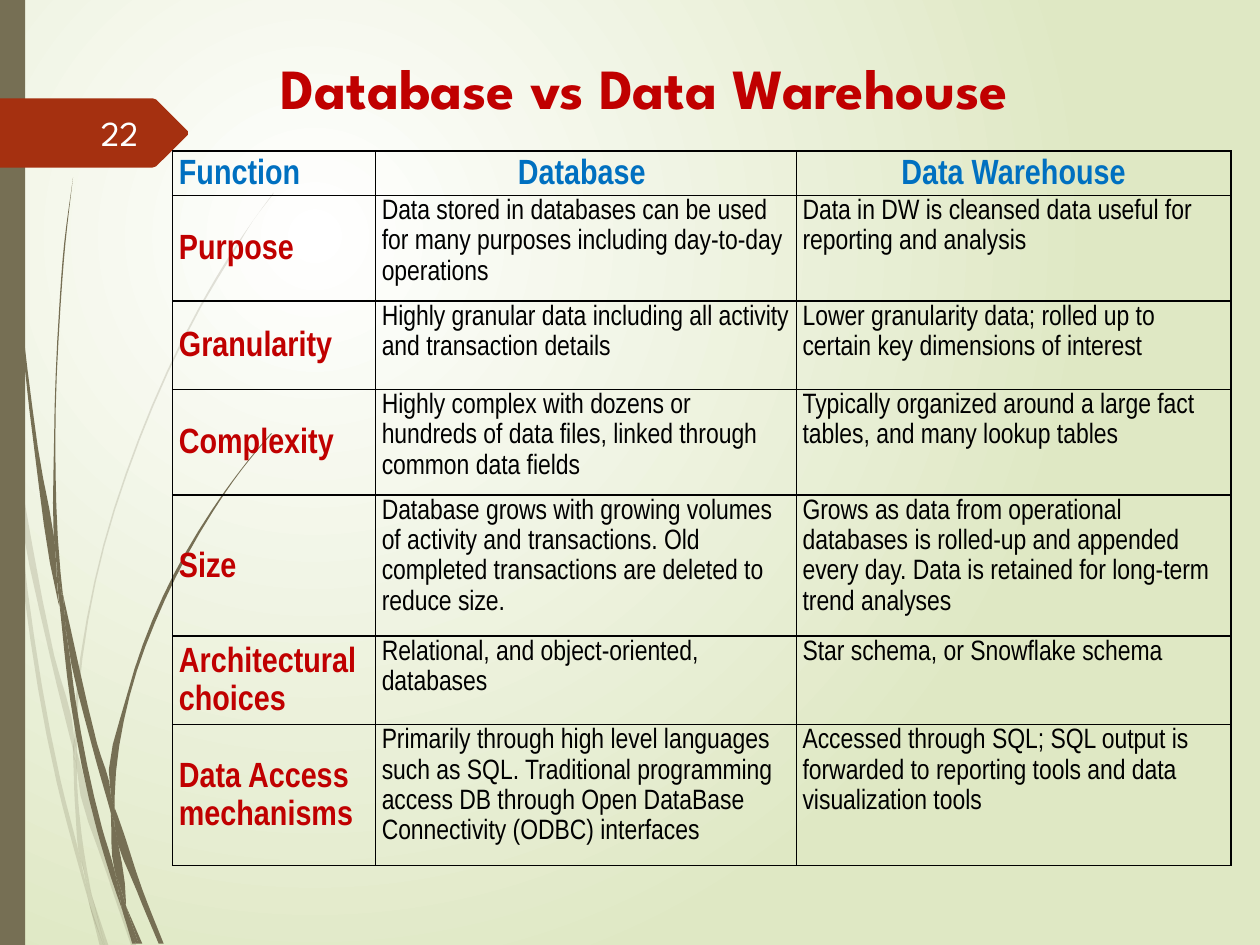
from lxml import etree
from pptx import Presentation
from pptx.dml.color import RGBColor
from pptx.enum.shapes import MSO_SHAPE
from pptx.enum.text import MSO_ANCHOR, PP_ALIGN
from pptx.oxml import parse_xml
from pptx.oxml.ns import qn
from pptx.util import Inches, Pt

RECT = MSO_SHAPE.RECTANGLE
TOP, MIDDLE = MSO_ANCHOR.TOP, MSO_ANCHOR.MIDDLE
LEFT, CENTER, RIGHT = PP_ALIGN.LEFT, PP_ALIGN.CENTER, PP_ALIGN.RIGHT
NS = "http://schemas.openxmlformats.org/drawingml/2006/main"

COLORS = {"white": "FFFFFF", "sage": "DFE8C4", "olive": "766F54", "rust": "A53010",
          "red": "C00000", "blue": "0070C0", "black": "000000", "page": "FEFFFF"}

TITLE = "Database vs Data Warehouse"
PAGE = "22"
ROWS = [
    ("Function", "Database ", "Data Warehouse"),
    ("Purpose",
     "Data stored in databases can be used for many purposes including day-to-day operations",
     "Data in DW is cleansed data useful for reporting and analysis"),
    ("Granularity",
     "Highly granular data including all activity and transaction details",
     "Lower granularity data; rolled up to certain key dimensions of interest"),
    ("Complexity",
     "Highly complex with dozens or hundreds of data files, linked through common data fields",
     "Typically organized around a large fact tables, and many lookup tables"),
    ("Size",
     "Database grows with growing volumes of activity and transactions. "
     "Old completed transactions are deleted to reduce size.",
     "Grows as data from operational databases is rolled-up and appended every day. "
     "Data is retained for long-term trend analyses"),
    ("Architectural choices",
     "Relational, and object-oriented, databases",
     "Star schema, or Snowflake schema"),
    ("Data Access mechanisms",
     "Primarily through high level languages such as SQL. Traditional programming access DB "
     "through Open DataBase Connectivity (ODBC) interfaces",
     "Accessed through SQL; SQL output is forwarded to reporting tools "
     "and data visualization tools"),
]
WIDTHS = [1.61, 3.34, 3.45]
HEIGHTS = [0.35, 0.84, 0.7, 0.84, 1.12, 0.7, 1.12]

# Grass blades as outlines, in inches
PALE = [
    [(0.08, 3.5), (0.06, 3.22), (0, 2.82), (0, 2.99), (0.07, 3.44)],
    [(0.4, 5.22), (0.59, 5.99), (0.59, 5.86), (0.43, 5.2), (0.1, 3.45), (0.12, 3.76)],
    [(0.64, 6.07), (0.61, 5.96), (0.61, 6.1), (0.85, 6.94), (1.04, 7.5), (1.08, 7.5),
     (0.88, 6.92)],
    [(0.83, 7.5), (0.86, 7.5), (0.73, 7.11)],
    [(0.64, 6.83), (0.48, 6.19), (0.22, 4.69), (0.12, 3.76), (0.08, 3.5), (0.19, 4.7),
     (0.45, 6.21), (0.64, 6.93), (0.7, 7.14), (0.69, 7.07)],
    [(0.58, 5.99), (0.6, 6.46), (0.64, 6.83), (0.67, 6.92), (0.73, 7.11), (0.72, 7.06),
     (0.63, 6.46), (0.61, 6.1), (0.61, 6.08)],
    [(0.61, 5.84), (0.76, 4.62), (1.11, 3.49), (1.59, 2.45), (1.87, 1.98), (2.01, 1.75),
     (2.17, 1.54), (2.17, 1.53), (2.01, 1.75), (1.86, 1.97), (1.58, 2.44), (1.1, 3.48),
     (0.75, 4.61), (0.59, 5.84), (0.59, 5.86), (0.61, 5.96)],
    [(0.7, 7.14), (0.79, 7.5), (0.82, 7.5)],
    [(0.61, 6.08), (0.61, 6.1), (0.61, 5.96), (0.59, 5.86), (0.58, 5.99)],
    [(0.67, 6.92), (0.65, 6.83), (0.69, 7.07), (0.7, 7.14), (0.82, 7.5), (0.83, 7.5),
     (0.73, 7.11)],
]
DARK = [
    [(0.05, 1.1), (0.14, 2.33), (0.27, 3.55), (0.46, 4.77), (0.47, 4.81), (0.45, 4.57),
     (0.45, 4.53), (0.3, 3.55), (0.15, 2.32), (0.06, 1.09), (0.04, 0.48), (0.03, 0),
     (0.02, 0), (0.03, 0.48)],
    [(0.73, 5.92), (0.88, 6.45), (0.88, 6.33), (0.88, 6.31), (0.77, 5.9), (0.5, 4.72),
     (0.53, 5.05)],
    [(0.94, 6.49), (0.91, 6.41), (0.91, 6.56), (1.09, 7.08), (1.26, 7.49), (1.3, 7.49),
     (1.13, 7.06)],
    [(0.91, 6.91), (0.81, 6.57), (0.6, 5.56), (0.53, 5.05), (0.47, 4.77), (0.56, 5.57),
     (0.77, 6.59), (0.92, 7.08), (0.97, 7.22), (0.96, 7.17)],
    [(0.5, 4.72), (0.48, 4.53), (0.44, 3.49), (0.48, 2.45), (0.52, 1.93), (0.58, 1.41),
     (0.51, 1.93), (0.47, 2.45), (0.43, 3.49), (0.45, 4.49), (0.49, 4.72)],
    [(1.1, 7.49), (1.13, 7.49), (1, 7.19)],
    [(0.47, 4.77), (0.53, 5.05), (0.5, 4.72), (0.49, 4.72), (0.45, 4.49), (0.45, 4.53)],
    [(0.91, 6.33), (1.03, 5.52), (1.31, 4.76), (1.69, 4.06), (1.91, 3.74), (2.03, 3.59),
     (2.16, 3.44), (2.15, 3.44), (2.03, 3.58), (1.91, 3.73), (1.68, 4.05), (1.29, 4.74),
     (1.01, 5.51), (0.88, 6.31), (0.91, 6.41)],
    [(0.97, 7.22), (1.05, 7.49), (1.08, 7.49)],
    [(0.88, 6.45), (0.91, 6.91), (0.96, 7.06), (1, 7.19), (1, 7.16), (0.91, 6.56),
     (0.9, 6.51)],
    [(0.88, 6.45), (0.9, 6.51), (0.91, 6.56), (0.91, 6.41), (0.88, 6.31), (0.88, 6.33)],
    [(0.96, 7.06), (0.91, 6.91), (0.96, 7.17), (0.97, 7.22), (1.08, 7.49), (1.1, 7.49),
     (1, 7.19)],
]
FLAG = [(1.49, 1.07), (1.24, 1.32), (1.21, 1.33), (0, 1.33), (0, 0.78), (1.21, 0.78),
        (1.24, 0.79), (1.49, 1.04)]

HEAD = {"size": Pt(20), "name": "Arial Narrow", "bold": True}
BODY = {"size": Pt(16), "name": "Arial Narrow", "bold": False}
BANNER = {"size": Pt(32.4), "name": "League Spartan", "bold": True}
NUMBER = {"size": Pt(20), "name": "League Spartan", "bold": False}


def rgb(name):
    return RGBColor.from_string(COLORS[name])


def paint(shape, color, alpha=None):
    shape.shadow.inherit = False
    shape.fill.solid()
    shape.fill.fore_color.rgb = rgb(color)
    shape.line.fill.background()
    if alpha:
        tone = shape.element.spPr.find(qn("a:solidFill"))[0]
        etree.SubElement(tone, qn("a:alpha"), val=str(alpha * 1000))


def smooth(points):
    """Round the bends between knots, keeping sharp corners."""
    knots = [complex(*point) for point in points]
    legs = [b - a for a, b in zip(knots, knots[1:] + knots[:1])]
    units = [leg / abs(leg) for leg in legs]
    curve = []
    for i, (knot, leg) in enumerate(zip(knots, legs)):
        ends = []
        for j in (i, (i + 1) % len(knots)):
            bend = units[j - 1] * abs(legs[j]) + units[j] * abs(legs[j - 1])
            sharp = (units[j - 1].conjugate() * units[j]).real < 0.8
            ends.append(leg if sharp else bend / abs(bend) * abs(leg))
        for t in (0, 0.25, 0.5, 0.75):
            spot = (knot + leg * t * t * (3 - 2 * t) + ends[0] * t * (1 - t) ** 2
                    - ends[1] * t * t * (1 - t))
            curve.append((spot.real, spot.imag))
    return curve


def outline(points, color, alpha=None):
    spots = [(Inches(x), Inches(y)) for x, y in points]
    pen = slide.shapes.build_freeform(*spots[0], scale=1.0)
    pen.add_line_segments(spots[1:], close=True)
    paint(pen.convert_to_shape(), color, alpha)


def write(frame, text, style, color, align):
    para = frame.paragraphs[0]
    para.alignment = align
    run = para.add_run()
    run.text = text
    for key, value in style.items():
        setattr(run.font, key, value)
    run.font.color.rgb = rgb(color)
    return para


def label(box, text, style, color, align, anchor):
    frame = slide.shapes.add_textbox(*map(Inches, box)).text_frame
    frame.word_wrap, frame.vertical_anchor = True, anchor
    write(frame, text, style, color, align)


def border(cell):
    props = cell._tc.get_or_add_tcPr()
    for index, side in enumerate(("lnL", "lnR", "lnT", "lnB")):
        props.insert(index, parse_xml(
            f'<a:{side} xmlns:a="{NS}" w="12700"><a:solidFill>'
            f'<a:srgbClr val="{COLORS["black"]}"/></a:solidFill></a:{side}>'))


prs = Presentation()
prs.slide_width, prs.slide_height = Inches(10), Inches(7.5)
slide = prs.slides.add_slide(prs.slide_layouts[6])
# Background glow
back = slide.background.fill
back.gradient()
for stop, tone in zip(back.gradient_stops, ("white", "sage")):
    stop.color.rgb = rgb(tone)
grad = slide.element.find(".//" + qn("a:gradFill"))
grad.replace(grad.find(qn("a:lin")), parse_xml(
    f'<a:path xmlns:a="{NS}" path="circle">'
    '<a:fillToRect l="50000" t="50000" r="100000" b="100000"/></a:path>'))
# Grass, side bar and page flag
for blades, alpha in ((PALE, 20), (DARK, None)):
    for blade in blades:
        outline(smooth(blade), "olive", alpha)
paint(slide.shapes.add_shape(RECT, 0, 0, Inches(0.2), prs.slide_height), "olive")
outline(FLAG, "rust")
label((2.13, 0.37, 7.21, 0.97), TITLE, BANNER, "red", LEFT, TOP)
# Comparison table
size = map(Inches, (1.37, 1.2, sum(WIDTHS), sum(HEIGHTS)))
table = slide.shapes.add_table(len(ROWS), len(WIDTHS), *size).table
table.first_row = table.horz_banding = False
for col, width in zip(table.columns, WIDTHS):
    col.width = Inches(width)
for r, (row, height) in enumerate(zip(ROWS, HEIGHTS)):
    table.rows[r].height = Inches(height)
    for c, text in enumerate(row):
        cell = table.cell(r, c)
        style, anchor = (HEAD, MIDDLE) if r == 0 or c == 0 else (BODY, TOP)
        color = "blue" if r == 0 else "red" if c == 0 else "black"
        layout = {"margin_left": Inches(0.05), "margin_right": Inches(0.05),
                  "margin_top": 0, "margin_bottom": 0, "vertical_anchor": anchor}
        for key, value in layout.items():
            setattr(cell, key, value)
        cell.fill.background()
        border(cell)
        para = write(cell.text_frame, text, style, color, CENTER if r == 0 and c else LEFT)
        para.line_spacing = Pt(style["size"].pt * 1.08)
# Page number
label((0.47, 0.86, 0.73, 0.39), PAGE, NUMBER, "page", RIGHT, MIDDLE)
prs.save("out.pptx")
